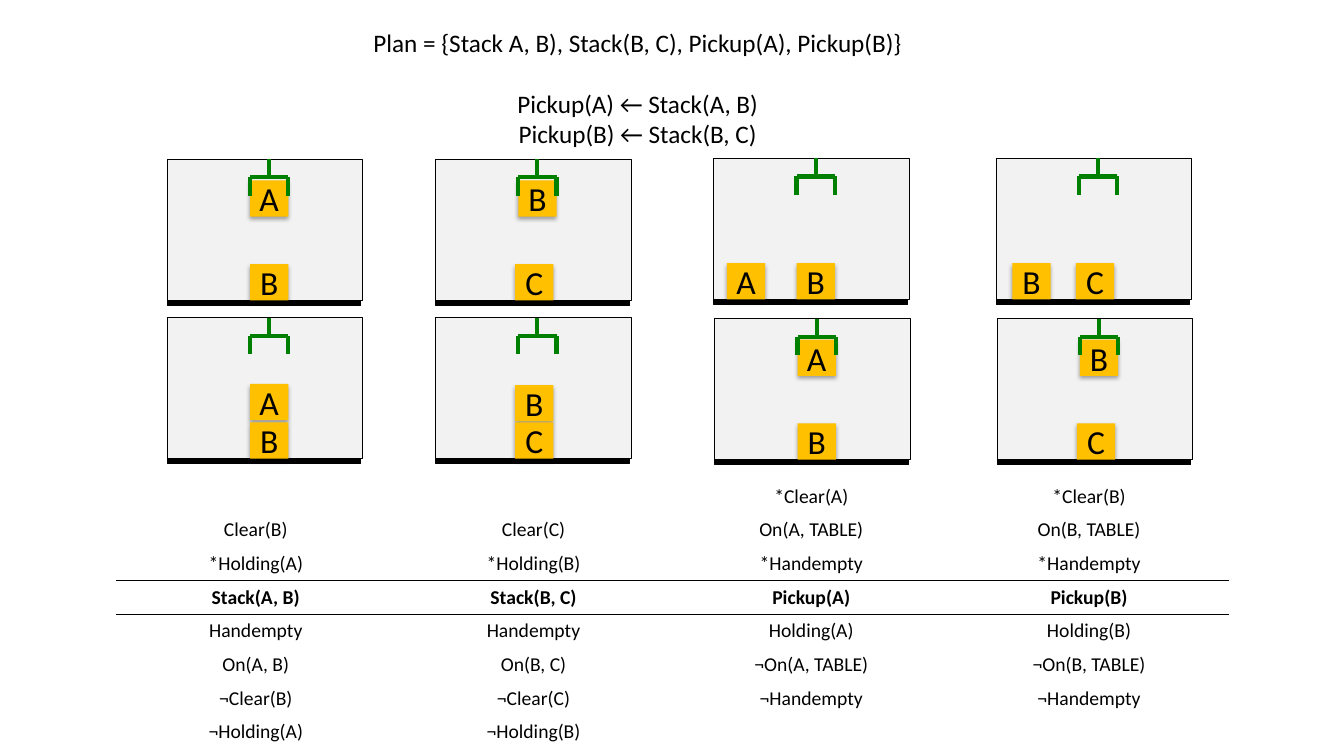
from dataclasses import dataclass

from lxml import etree
from pptx import Presentation
from pptx.dml.color import RGBColor
from pptx.enum.shapes import MSO_CONNECTOR, MSO_SHAPE
from pptx.enum.text import MSO_ANCHOR, PP_ALIGN
from pptx.oxml import parse_xml
from pptx.oxml.ns import nsdecls, qn
from pptx.util import Pt

RECT = MSO_SHAPE.RECTANGLE
STRAIGHT = MSO_CONNECTOR.STRAIGHT
CENTER = PP_ALIGN.CENTER
MIDDLE = MSO_ANCHOR.MIDDLE
PX = 9144  # EMU per px, 100 px to the inch


@dataclass(frozen=True)
class Theme:
    font: str = "Calibri"
    ink: RGBColor = RGBColor(0, 0, 0)
    room: RGBColor = RGBColor(0xF2, 0xF2, 0xF2)
    block: RGBColor = RGBColor(0xFF, 0xC0, 0x00)
    gripper: RGBColor = RGBColor(0x00, 0x80, 0x00)
    plan_size: Pt = Pt(18)
    block_size: Pt = Pt(24)
    cell_size: Pt = Pt(14)


THEME = Theme()


def add_rect(shapes, x, y, w, h, fill, outlined=True):
    s = shapes.add_shape(RECT, x * PX, y * PX, w * PX, h * PX)
    s.shadow.inherit = False
    s.fill.solid()
    s.fill.fore_color.rgb = fill
    if outlined:
        s.line.color.rgb = THEME.ink
        s.line.width = Pt(0.75)
    else:
        s.line.fill.background()
    return s


def write(p, text, size, bold=False):
    p.alignment = CENTER
    r = p.add_run()
    r.text = text
    r.font.name = THEME.font
    r.font.size = size
    r.font.bold = bold
    r.font.color.rgb = THEME.ink


prs = Presentation()
prs.slide_width, prs.slide_height = 1333 * PX, 750 * PX
slide = prs.slides.add_slide(prs.slide_layouts[6])

# Plan and its ordering constraints
tf = slide.shapes.add_textbox(356 * PX, 22 * PX, 553 * PX, 131 * PX).text_frame
tf.word_wrap = True
plan = [
    "Plan = {Stack A, B), Stack(B, C), Pickup(A), Pickup(B)}",
    "Pickup(A) ← Stack(A, B)",
    "Pickup(B) ← Stack(B, C)",
]
for i, text in enumerate(plan):
    p = tf.add_paragraph() if i else tf.paragraphs[0]
    write(p, text, THEME.plan_size)
tf.paragraphs[1].space_before = Pt(22)

# Scenes before (upper) and after (lower) each action:
# left, top, then blocks as letter, dx, dy within the scene
FLOOR, HELD = 104, 21
scenes = [
    (166, 158, [("A", 82, HELD), ("B", 82, FLOOR)]),
    (166, 315, [("A", 82, 66), ("B", 82, FLOOR)]),
    (432, 158, [("B", 82, HELD), ("C", 79, FLOOR)]),
    (432, 315, [("B", 79, 67), ("C", 79, FLOOR)]),
    (708, 157, [("A", 13, FLOOR), ("B", 82, FLOOR)]),
    (709, 316, [("A", 82, HELD), ("B", 82, FLOOR)]),
    (988, 157, [("B", 16, FLOOR), ("C", 79, FLOOR)]),
    (989, 316, [("B", 82, HELD), ("C", 79, FLOOR)]),
]
gripper = [
    (82, 18, 120, 18),
    (82, 18, 82, 36),
    (101, 0, 101, 18),
    (120, 18, 120, 36),
]
for x, y, blocks in scenes:
    shapes = slide.shapes.add_group_shape().shapes
    add_rect(shapes, x, y, 194, 140, THEME.room)
    add_rect(shapes, x, y + 140, 192, 5, THEME.ink)
    for letter, dx, dy in blocks:
        s = add_rect(shapes, x + dx, y + dy, 38, 36, THEME.block, outlined=False)
        s._element.spPr.find(qn("a:effectLst")).append(parse_xml(
            f'<a:outerShdw {nsdecls("a")} blurRad="{Pt(3.1)}" dist="{Pt(1.8)}" '
            'dir="5400000" rotWithShape="0"><a:srgbClr val="000000">'
            '<a:alpha val="35000"/></a:srgbClr></a:outerShdw>'))
        tf = s.text_frame
        tf.word_wrap = False
        tf.vertical_anchor = MIDDLE
        write(tf.paragraphs[0], letter, THEME.block_size)
    for x1, y1, x2, y2 in gripper:
        line = shapes.add_connector(
            STRAIGHT, (x + x1) * PX, (y + y1) * PX, (x + x2) * PX, (y + y2) * PX)
        line.line.color.rgb = THEME.gripper
        line.line.width = Pt(3)
        etree.SubElement(line._element.spPr, qn("a:effectLst"))

# Preconditions, action and effects
rows = [
    ("", "", "*Clear(A)", "*Clear(B)"),
    ("Clear(B)", "Clear(C)", "On(A, TABLE)", "On(B, TABLE)"),
    ("*Holding(A)", "*Holding(B)", "*Handempty", "*Handempty"),
    ("Stack(A, B)", "Stack(B, C)", "Pickup(A)", "Pickup(B)"),
    ("Handempty", "Handempty", "Holding(A)", "Holding(B)"),
    ("On(A, B)", "On(B, C)", "¬On(A, TABLE)", "¬On(B, TABLE)"),
    ("¬Clear(B)", "¬Clear(C)", "¬Handempty", "¬Handempty"),
    ("¬Holding(A)", "¬Holding(B)", "", ""),
]
ACTION_ROW = 3
ruled_edges = {
    ACTION_ROW - 1: ["lnB"],
    ACTION_ROW: ["lnT", "lnB"],
    ACTION_ROW + 1: ["lnT"],
}
table = slide.shapes.add_table(
    len(rows), 4, 116 * PX, 476 * PX, 1102 * PX, 267 * PX).table
table.first_row = False
table.horz_banding = False
for i, row in enumerate(rows):
    for j, text in enumerate(row):
        cell = table.cell(i, j)
        cell.vertical_anchor = MIDDLE
        cell.margin_top = cell.margin_bottom = 0
        for edge in ruled_edges.get(i, []):
            cell._tc.get_or_add_tcPr().append(parse_xml(
                f'<a:{edge} {nsdecls("a")} w="{Pt(1)}"><a:solidFill>'
                f'<a:srgbClr val="{THEME.ink}"/></a:solidFill></a:{edge}>'))
        cell.fill.background()
        if text:
            write(cell.text_frame.paragraphs[0], text, THEME.cell_size,
                  bold=i == ACTION_ROW)

prs.save("out.pptx")
